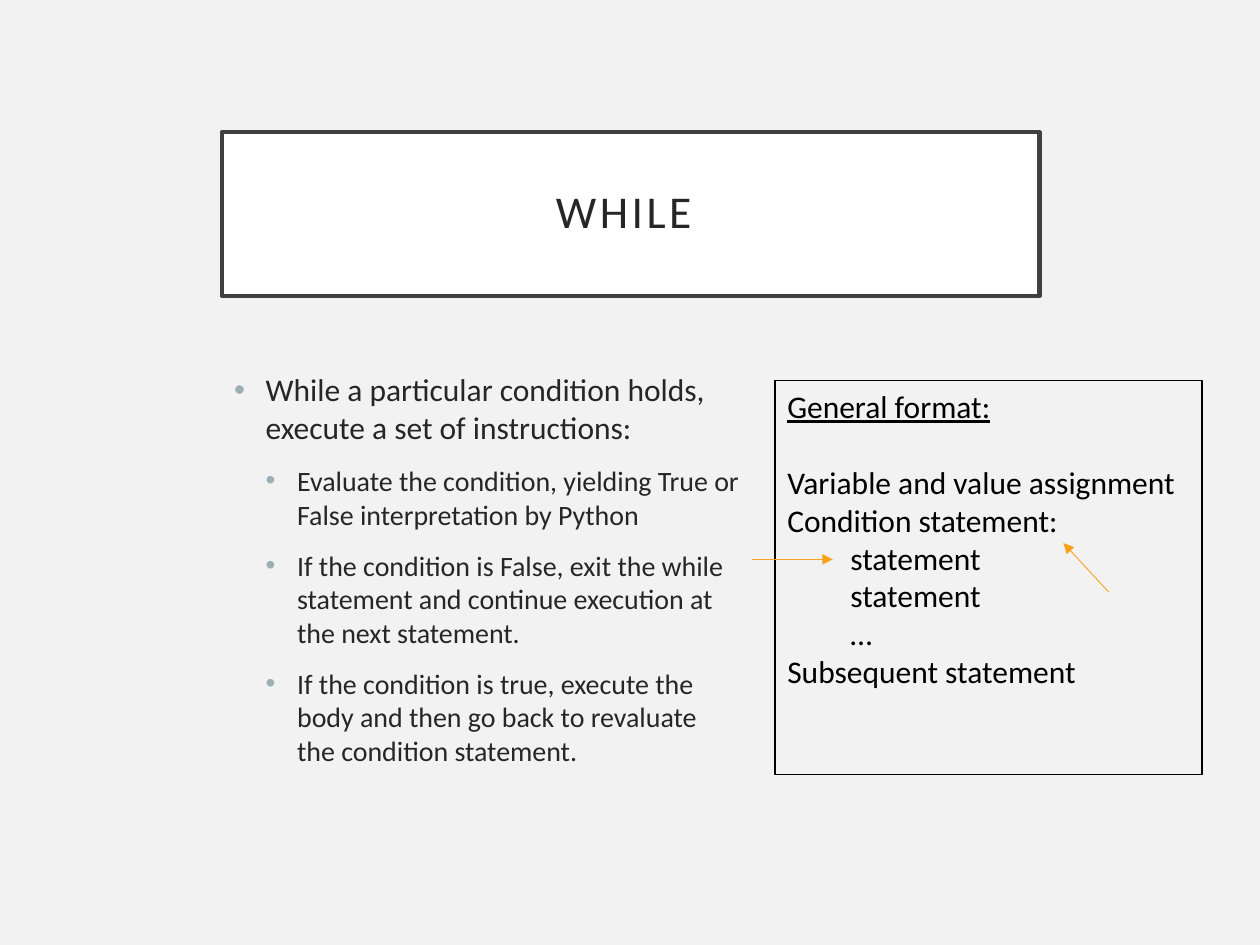
from dataclasses import dataclass

from lxml.etree import SubElement
from pptx import Presentation
from pptx.dml.color import RGBColor
from pptx.enum.shapes import MSO_CONNECTOR as Connector, MSO_SHAPE as Shape
from pptx.enum.text import MSO_ANCHOR as Anchor, PP_ALIGN as Align
from pptx.oxml.ns import qn
from pptx.util import Inches, Pt


@dataclass(frozen=True)
class Theme:
    font: str = "Calibri"
    background: str = "F2F2F2"
    panel: str = "FFFFFF"
    frame: str = "404040"
    text: str = "262626"
    code: str = "000000"
    bullet: str = "9BAFB5"
    arrow: str = "F6A21D"
    title_size: int = 26
    body_size: int = 18
    detail_size: int = 16


THEME = Theme()

POINTS = [
    (0, "While a particular condition holds, execute a set of instructions:"),
    (1, "Evaluate the condition, yielding True or False interpretation by Python"),
    (1, "If the condition is False, exit the while statement and continue "
        "execution at the next statement."),
    (1, "If the condition is true, execute the body and then go back to "
        "revaluate the condition statement."),
]

# Indent level and wording of each line in the format box
FORMAT_LINES = [
    (0, "General format:"),
    (0, "Variable and value assignment"),
    (0, "Condition statement:"),
    (1, "statement"),
    (1, "statement"),
    (1, "…"),
    (0, "Subsequent statement"),
]


def color(value):
    return RGBColor.from_string(value)


def style_paragraph(paragraph, text, size, ink):
    paragraph.text = text
    font = paragraph.runs[0].font
    font.name, font.size = THEME.font, Pt(size)
    font.color.rgb = color(ink)
    return font


def set_indent(paragraph, left, hanging=0):
    properties = paragraph._p.get_or_add_pPr()
    properties.set("marL", str(Inches(left)))
    properties.set("indent", str(-Inches(hanging)))
    return properties


def add_bullet(paragraph, left, hanging):
    properties = set_indent(paragraph, left, hanging)
    bullet_color = SubElement(properties, qn("a:buClr"))
    SubElement(bullet_color, qn("a:srgbClr"), val=THEME.bullet)
    SubElement(properties, qn("a:buFont"), typeface="Arial")
    SubElement(properties, qn("a:buChar"), char="•")


def add_frame(slide, box, line_color, line_width):
    shape = slide.shapes.add_shape(Shape.RECTANGLE, *map(Inches, box))
    shape.shadow.inherit = False
    shape.line.color.rgb = color(line_color)
    shape.line.width = Pt(line_width)
    shape.text_frame.word_wrap = True
    return shape


def paragraphs_for(frame, count):
    for _ in range(count - 1):
        frame.add_paragraph()
    return frame.paragraphs


def add_title(slide, box, text):
    shape = add_frame(slide, box, THEME.frame, 2.5)
    shape.fill.solid()
    shape.fill.fore_color.rgb = color(THEME.panel)
    frame = shape.text_frame
    frame.vertical_anchor = Anchor.MIDDLE
    frame.margin_left = frame.margin_right = Inches(0.2)
    frame.margin_top = frame.margin_bottom = Inches(0.2)
    paragraph = frame.paragraphs[0]
    paragraph.alignment = Align.CENTER
    paragraph.line_spacing = 0.9
    style_paragraph(paragraph, text, THEME.title_size, THEME.text)
    paragraph.runs[0]._r.get_or_add_rPr().set("spc", "200")


def add_points(slide, box, points):
    frame = slide.shapes.add_textbox(*map(Inches, box)).text_frame
    frame.word_wrap = True
    paragraphs = paragraphs_for(frame, len(points))
    for index, (paragraph, (level, text)) in enumerate(zip(paragraphs, points)):
        size = THEME.detail_size if level else THEME.body_size
        style_paragraph(paragraph, text, size, THEME.text)
        paragraph.level = level
        paragraph.space_before = Pt(10 if index else 0)
        add_bullet(paragraph, 0.25 * (level + 1), 0.25)


def add_arrow(slide, box, start, end):
    left, top = box[:2]
    arrow = slide.shapes.add_connector(
        Connector.STRAIGHT,
        Inches(left + start[0]), Inches(top + start[1]),
        Inches(left + end[0]), Inches(top + end[1]))
    arrow.line.color.rgb = color(THEME.arrow)
    arrow.line.width = Pt(0.5)
    SubElement(arrow.line._get_or_add_ln(), qn("a:tailEnd"), type="triangle")
    SubElement(arrow._element.spPr, qn("a:effectLst"))


def add_format_box(slide, box, lines):
    shape = add_frame(slide, box, THEME.code, 0.75)
    shape.fill.background()
    frame = shape.text_frame
    frame.vertical_anchor = Anchor.TOP
    paragraphs = paragraphs_for(frame, len(lines))
    for paragraph, (level, text) in zip(paragraphs, lines):
        style_paragraph(paragraph, text, THEME.body_size, THEME.code)
        paragraph.alignment = Align.LEFT
        set_indent(paragraph, 0.5 * level)
    # Underlined heading, one line apart from the rest
    paragraphs[0].runs[0].font.underline = True
    paragraphs[0].space_after = Pt(22)

    # Arrows to the condition and to the body
    add_arrow(slide, box, (2.65, 1.68), (2.29, 1.29))
    add_arrow(slide, box, (-0.18, 1.42), (0.46, 1.42))


def main():
    presentation = Presentation()
    presentation.slide_width = Inches(10)
    presentation.slide_height = Inches(7.5)
    slide = presentation.slides.add_slide(presentation.slide_layouts[6])
    slide.background.fill.solid()
    slide.background.fill.fore_color.rgb = color(THEME.background)

    add_title(slide, (1.76, 1.05, 6.49, 1.3), "WHILE ")
    add_points(slide, (1.76, 2.89, 4.21, 3.39), POINTS)
    add_format_box(slide, (6.15, 3.02, 3.39, 3.13), FORMAT_LINES)
    presentation.save("out.pptx")


if __name__ == "__main__":
    main()
